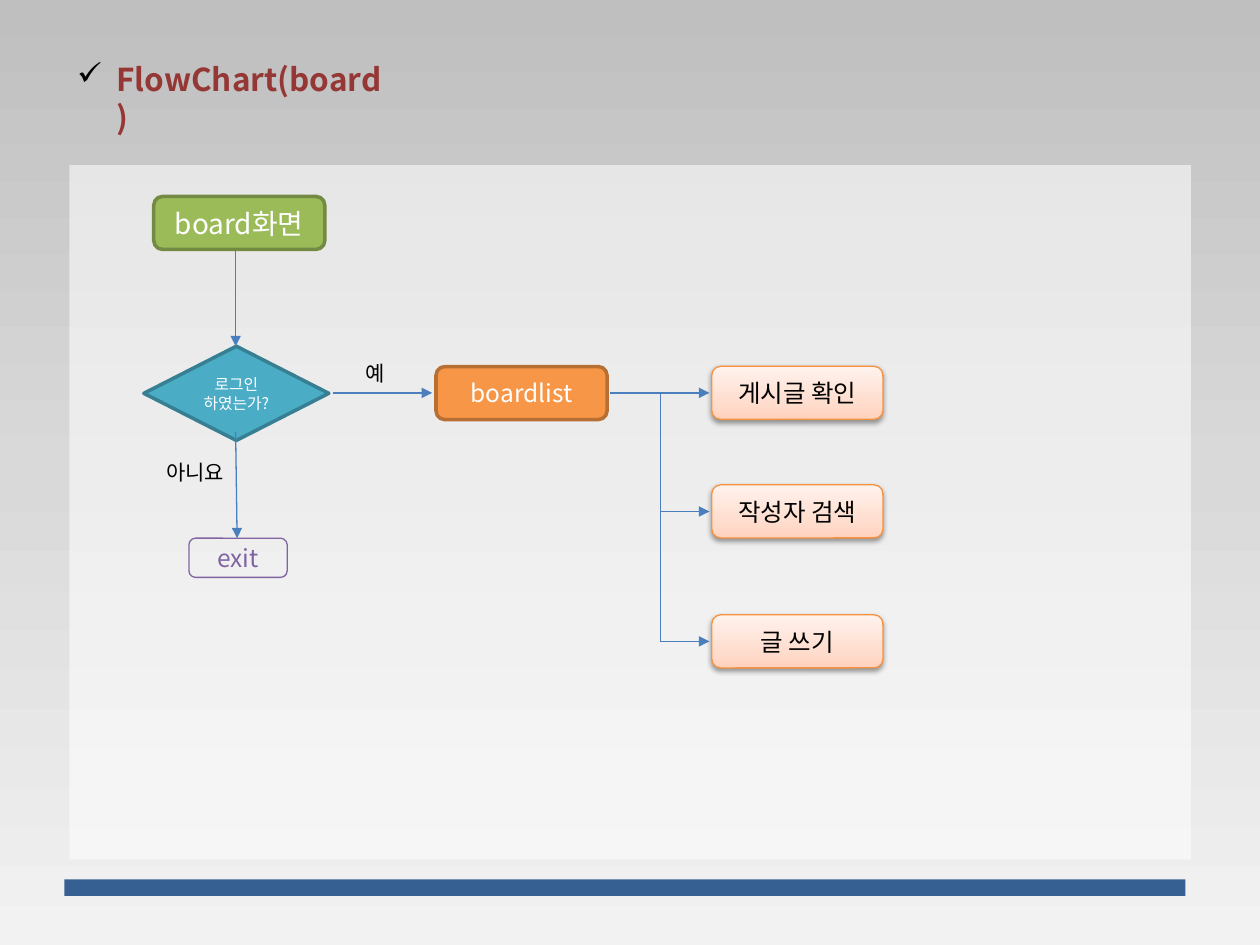
from lxml.etree import SubElement
from pptx import Presentation
from pptx.dml.color import RGBColor
from pptx.enum.shapes import MSO_CONNECTOR, MSO_SHAPE
from pptx.enum.text import MSO_ANCHOR, MSO_AUTO_SIZE, PP_ALIGN
from pptx.oxml.ns import qn
from pptx.util import Cm, Pt

RECT, ROUND, DIAMOND = MSO_SHAPE.RECTANGLE, MSO_SHAPE.ROUNDED_RECTANGLE, MSO_SHAPE.DIAMOND
STRAIGHT = MSO_CONNECTOR.STRAIGHT
LEFT, CENTER = PP_ALIGN.LEFT, PP_ALIGN.CENTER
TOP, MIDDLE = MSO_ANCHOR.TOP, MSO_ANCHOR.MIDDLE
GROW = MSO_AUTO_SIZE.SHAPE_TO_FIT_TEXT

FONT = "Noto Sans CJK KR"
WHITE = RGBColor(0xFF, 0xFF, 0xFF)
BLACK = RGBColor(0, 0, 0)
NAVY = RGBColor(0x37, 0x60, 0x92)
BLUE = RGBColor(0x4B, 0x7E, 0xBC)
RED = RGBColor(0x95, 0x37, 0x35)
GREEN = RGBColor(0x9B, 0xBB, 0x59)
MOSS = RGBColor(0x73, 0x8A, 0x42)
TEAL = RGBColor(0x4B, 0xAC, 0xC6)
DEEP = RGBColor(0x37, 0x7F, 0x92)
ORANGE = RGBColor(0xF7, 0x96, 0x46)
RUST = RGBColor(0xB7, 0x6F, 0x34)
AMBER = RGBColor(0xF6, 0x92, 0x40)
PURPLE = RGBColor(0x80, 0x64, 0xA2)
GREY = ((0, RGBColor(0xBF, 0xBF, 0xBF)), (50, RGBColor(0xD9, 0xD9, 0xD9)),
        (100, RGBColor(0xF2, 0xF2, 0xF2)))
PEACH = ((0, RGBColor(0xFF, 0xD2, 0xBD)), (35, RGBColor(0xFF, 0xDE, 0xD0)),
         (100, RGBColor(0xFF, 0xF2, 0xED)))

BOX = (3.45, 1.07)
ROW = 7.92


def add_node(parent, tag, **attrs):
    """Append a DrawingML element."""
    return SubElement(parent, qn(tag), {key: str(val) for key, val in attrs.items()})


def add_form(slide, kind, at, fill=None, line=None, width=0.75):
    """Add a preset shape without shadow."""
    form = slide.shapes.add_shape(kind, *map(Cm, at))
    form.shadow.inherit = False
    if fill is None:
        form.fill.background()
    else:
        form.fill.solid()
        form.fill.fore_color.rgb = fill
    if line is None:
        form.line.fill.background()
    else:
        form.line.color.rgb = line
        form.line.width = Pt(width)
    return form


def set_blend(form, stops, angle):
    """Fill a shape with a linear gradient."""
    form.fill.gradient()
    form.fill.gradient_angle = angle
    stop_list = next(form.element.iter(qn("a:gsLst")))
    for old in list(stop_list):
        stop_list.remove(old)
    for place, color in stops:
        stop = add_node(stop_list, "a:gs", pos=place * 1000)
        add_node(stop, "a:srgbClr", val=color)


def set_text(form, text, size, color, align=CENTER, anchor=MIDDLE):
    """Write one styled paragraph into a shape."""
    frame = form.text_frame
    frame.word_wrap = True
    frame.vertical_anchor = anchor
    frame.text = text
    para = frame.paragraphs[0]
    para.alignment = align
    para.font.size = Pt(size)
    para.font.color.rgb = color
    para.font.name = FONT
    add_node(next(form.element.iter(qn("a:defRPr"))), "a:ea", typeface=FONT)
    return para


def add_label(slide, at, text):
    """Add a small caption beside an arrow."""
    label = slide.shapes.add_textbox(*map(Cm, at))
    set_text(label, text, 12, BLACK, LEFT, TOP)
    label.text_frame.auto_size = GROW


def add_line(slide, start, end, arrow=True):
    """Draw a thin flow line."""
    line = slide.shapes.add_connector(STRAIGHT, *map(Cm, start + end))
    line.line.color.rgb = BLUE
    line.line.width = Pt(0.75)
    if arrow:
        add_node(next(line.element.iter(qn("a:ln"))), "a:tailEnd", type="triangle")
    add_node(line.element.spPr, "a:effectLst")


def add_action(slide, mid, text):
    """Add a peach action box with a soft shadow."""
    box = add_form(slide, ROUND, (14.35, mid - BOX[1] / 2) + BOX, WHITE, AMBER)
    set_blend(box, PEACH, 90)
    shade = add_node(next(box.element.iter(qn("a:effectLst"))), "a:outerShdw",
                     blurRad=Pt(3.1), dist=Pt(1.6), dir=5400000, rotWithShape=0)
    tint = add_node(shade, "a:srgbClr", val=BLACK)
    add_node(tint, "a:alpha", val=38000)
    set_text(box, text, 14, BLACK)


def add_title(slide, text):
    """Format the title with a check mark bullet."""
    title = slide.shapes.title
    title.left, title.top, title.width, title.height = map(Cm, (1.3, 1.09, 6.65, 1.02))
    para = set_text(title, text, 18, RED, LEFT, TOP)
    para.font.bold = True
    title.text_frame.auto_size = GROW
    props = next(title.element.iter(qn("a:pPr")))
    props.set("marL", str(Cm(0.79)))
    props.set("indent", str(Cm(-0.79)))
    char = props.makeelement(qn("a:buChar"), {"char": "✓"})
    tint = props.makeelement(qn("a:buClr"), {})
    add_node(tint, "a:srgbClr", val=BLACK)
    style = props.find(qn("a:defRPr"))
    style.addprevious(tint)
    style.addprevious(char)


def add_base(slide):
    """Lay the backdrop, the footer bar and the clear panel."""
    back = add_form(slide, RECT, (0, 0, 25.4, 19.05), WHITE)
    set_blend(back, GREY, 270)
    bar = add_form(slide, RECT, (1.3, 17.73, 22.6, 0.33), NAVY)
    for form in (back, bar):
        slide.shapes.title.element.addprevious(form.element)
    panel = add_form(slide, RECT, (1.4, 3.33, 22.61, 14), WHITE)
    add_node(next(panel.element.iter(qn("a:srgbClr"))), "a:alpha", val=55000)


def add_flow(slide):
    """Draw the login check and the board actions."""
    steps = (
        (ROUND, (3.1, 3.96) + BOX, GREEN, MOSS, 2, "board화면", 16, WHITE),
        (DIAMOND, (2.9, 6.98, 3.73, 1.9), TEAL, DEEP, 2, "로그인 하였는가?", 9, WHITE),
        (ROUND, (8.79, 7.39) + BOX, ORANGE, RUST, 2, "boardlist", 14, WHITE),
        (ROUND, (3.81, 10.85, 1.98, 0.79), None, PURPLE, 0.75, "exit", 14, PURPLE),
    )
    for kind, at, fill, edge, width, text, size, color in steps:
        set_text(add_form(slide, kind, at, fill, edge, width), text, size, color)
    add_label(slide, (7.11, 7.14, 1.24, 0.76), "예")
    add_label(slide, (3.1, 9.14, 2.03, 0.76), "아니요")
    add_line(slide, (4.75, 5.03), (4.75, 6.98))
    add_line(slide, (4.75, 8.71), (4.78, 10.85))
    add_line(slide, (6.71, ROW), (8.71, ROW))
    add_line(slide, (13.31, ROW), (13.31, 12.93), False)
    actions = ((12.29, ROW, "게시글 확인"), (13.31, 10.31, "작성자 검색"),
               (13.31, 12.93, "글 쓰기"))
    for left, mid, text in actions:
        add_line(slide, (left, mid), (14.3, mid))
        add_action(slide, mid, text)


def main():
    """Build and save the slide."""
    deck = Presentation()
    deck.slide_width, deck.slide_height = Cm(25.4), Cm(19.05)
    slide = deck.slides.add_slide(deck.slide_layouts[5])
    add_title(slide, "FlowChart(board)")
    add_base(slide)
    add_flow(slide)
    deck.save("out.pptx")


main()
